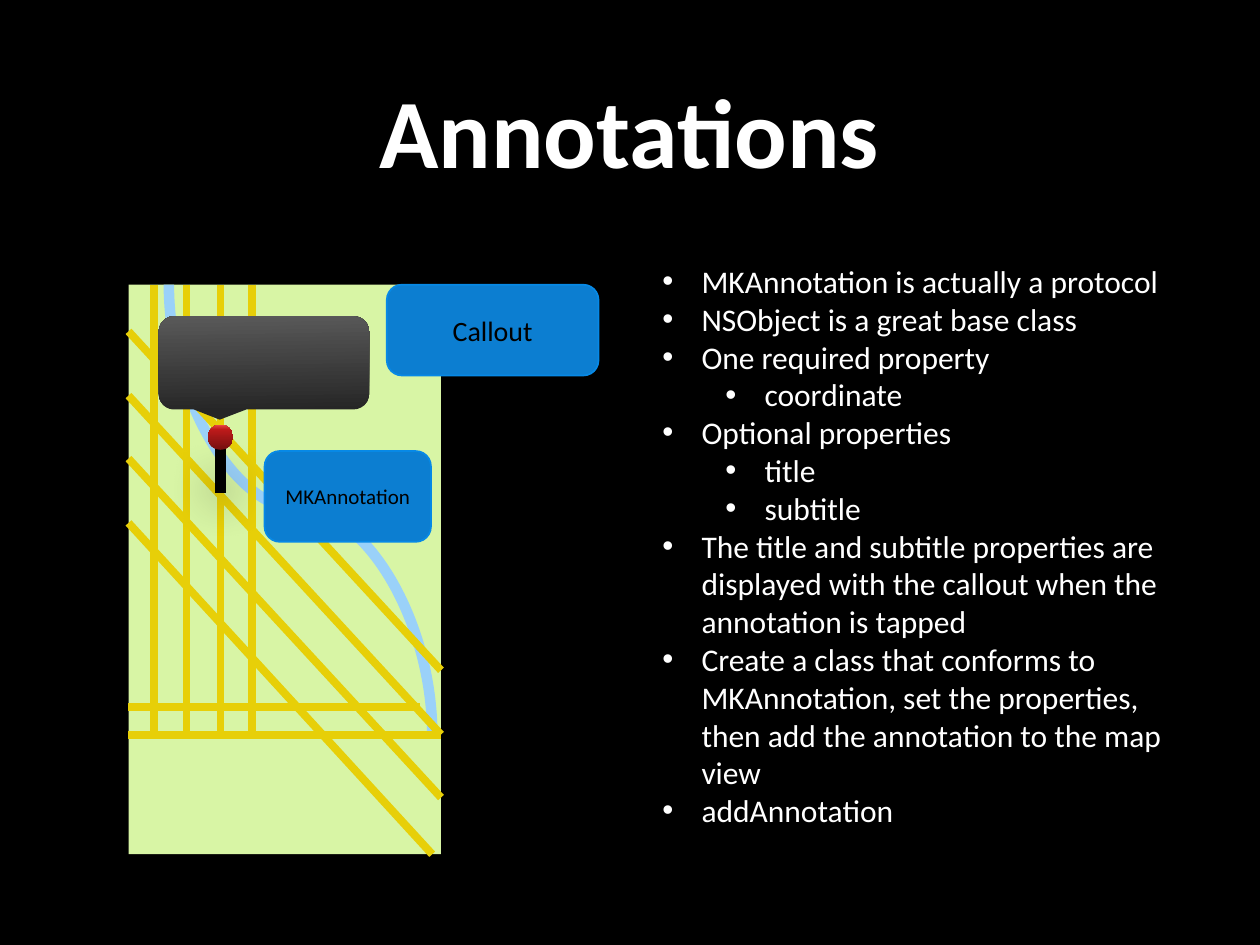
"""Build the Annotations slide with a sketched map and a bulleted summary."""
import pptx
import pptx.dml.color
import pptx.enum.shapes
import pptx.enum.text
import pptx.oxml
import pptx.oxml.ns
import pptx.util
from lxml import etree

Inches = pptx.util.Inches
Pt = pptx.util.Pt
SHAPES = pptx.enum.shapes.MSO_SHAPE
CONNECTORS = pptx.enum.shapes.MSO_CONNECTOR
ALIGN = pptx.enum.text.PP_ALIGN
ANCHOR = pptx.enum.text.MSO_ANCHOR
qn = pptx.oxml.ns.qn

COLORS = {
    "black": "000000", "white": "FFFFFF", "land": "D8F5A5", "river": "9AD1F9",
    "road": "E7CF08", "label": "0C7ED1", "label_edge": "0789E6",
}
PIN_GRADIENT = [(0, "751010"), (80, "BD1A1A"), (100, "E84545")]
BUBBLE_GRADIENT = [(0, "262626"), (100, "595959")]
BULLETS = [
    (0, "MKAnnotation is actually a protocol"),
    (0, "NSObject is a great base class"),
    (0, "One required property"),
    (1, "coordinate"),
    (0, "Optional properties"),
    (1, "title"),
    (1, "subtitle"),
    (0, "The title and subtitle properties are\vdisplayed with the callout when the\v"
        "annotation is tapped"),
    (0, "Create a class that conforms to\vMKAnnotation, set the properties,\v"
        "then add the annotation to the map\vview"),
    (0, "addAnnotation"),
]


def rgb(name):
    """Return the colour stored under a palette name."""
    return pptx.dml.color.RGBColor.from_string(COLORS[name])


class SlideBuilder:
    """Hold the text style and the current slide."""

    font = "Calibri"

    def __init__(self, slide):
        """Keep the slide and paint its background."""
        self.slide = slide
        slide.background.fill.solid()
        slide.background.fill.fore_color.rgb = rgb("black")

    def style(self, paragraph, size, color, bold=False):
        """Format every run of a paragraph."""
        for run in paragraph.runs:
            run.font.name = self.font
            run.font.size = Pt(size)
            run.font.bold = bold
            run.font.color.rgb = rgb(color)

    def title(self, text, box):
        """Fill and place the title placeholder."""
        heading = self.slide.shapes.title
        heading.left, heading.top, heading.width, heading.height = map(Inches, box)
        heading.text_frame.text = text
        heading.text_frame.vertical_anchor = ANCHOR.MIDDLE
        paragraph = heading.text_frame.paragraphs[0]
        paragraph.alignment = ALIGN.CENTER
        self.style(paragraph, 56, "white", bold=True)

    def shape(self, kind, box, fill=None):
        """Add a borderless preset shape with an optional solid fill."""
        shape = self.slide.shapes.add_shape(kind, *map(Inches, box))
        shape.shadow.inherit = False
        shape.line.fill.background()
        if fill:
            shape.fill.solid()
            shape.fill.fore_color.rgb = rgb(fill)
        return shape

    def gradient(self, shape, stops, angle):
        """Fill a shape with a linear gradient."""
        shape.fill.gradient()
        shape.fill.gradient_angle = angle
        stop_list = shape.element.spPr.find(qn("a:gradFill")).find(qn("a:gsLst"))
        for stop in list(stop_list):
            stop_list.remove(stop)
        for position, color in stops:
            stop = etree.SubElement(stop_list, qn("a:gs"), pos=str(position * 1000))
            etree.SubElement(stop, qn("a:srgbClr"), val=color)

    def drop_shadow(self, shape, opacity, blur, distance):
        """Cast a soft black shadow straight down."""
        effects = shape.element.spPr.find(qn("a:effectLst"))
        shadow = etree.SubElement(
            effects, qn("a:outerShdw"), blurRad=str(Pt(blur)),
            dist=str(Pt(distance)), dir="5400000", rotWithShape="0")
        color = etree.SubElement(shadow, qn("a:srgbClr"), val=COLORS["black"])
        etree.SubElement(color, qn("a:alpha"), val=str(opacity * 1000))

    def label(self, text, box, size):
        """Add a rounded label with centred text."""
        label = self.shape(SHAPES.ROUNDED_RECTANGLE, box, "label")
        label.line.color.rgb = rgb("label_edge")
        label.line.width = Pt(1)
        label.text_frame.text = text
        label.text_frame.vertical_anchor = ANCHOR.MIDDLE
        paragraph = label.text_frame.paragraphs[0]
        paragraph.alignment = ALIGN.CENTER
        self.style(paragraph, size, "black")

    def line(self, start, end, color, width, kind=CONNECTORS.STRAIGHT):
        """Add a connector between two points."""
        line = self.slide.shapes.add_connector(kind, *map(Inches, (*start, *end)))
        line.line.color.rgb = rgb(color)
        line.line.width = Pt(width)
        etree.SubElement(line.element.spPr, qn("a:effectLst"))
        return line

    def bullets(self, items, box):
        """Add a two-level bulleted list."""
        frame = self.slide.shapes.add_textbox(*map(Inches, box)).text_frame
        frame.word_wrap = True
        for index, (level, text) in enumerate(items):
            paragraph = frame.add_paragraph() if index else frame.paragraphs[0]
            paragraph.text = text
            paragraph.level = level
            properties = paragraph._p.get_or_add_pPr()
            properties.set("marL", str(Inches(0.31 + 0.5 * level)))
            properties.set("indent", str(Inches(-0.31)))
            bullet_color = etree.SubElement(properties, qn("a:buClr"))
            etree.SubElement(bullet_color, qn("a:srgbClr"), val=COLORS["white"])
            etree.SubElement(properties, qn("a:buFont"), typeface="Arial")
            etree.SubElement(properties, qn("a:buChar"), char="•")
            self.style(paragraph, 18, "white")


def draw_map(builder):
    """Draw the land, the river and the road grid."""
    left, top, right, bottom = 1.02, 2.26, 3.5, 5.83
    builder.shape(SHAPES.RECTANGLE, (left, top, right - left, 4.52), "land")
    river = builder.line((4.17, 3), (0.6, 5.09), "river", 6, CONNECTORS.CURVE)
    river.element.spPr.find(qn("a:xfrm")).set("rot", "16200000")
    diagonals = [((left, y), (right, y + 2.69)) for y in (2.63, 3.14, 3.64)]
    diagonals.append(((left, 4.15), (3.43, 6.78)))
    verticals = [((x, top), (x, bottom)) for x in (1.22, 1.48, 1.75, 2)]
    horizontals = [((left, 5.61), (3.33, 5.61)), ((left, bottom), (right, bottom))]
    for start, end in diagonals + verticals + horizontals:
        builder.line(start, end, "road", 4.5)


def draw_pin(builder):
    """Draw the map pin as one group."""
    stem = builder.line((1.75, 3.91), (1.75, 3.52), "black", 6)
    head = builder.shape(SHAPES.OVAL, (1.65, 3.37, 0.2, 0.2))
    builder.gradient(head, PIN_GRADIENT, 90)
    builder.drop_shadow(head, opacity=40, blur=25, distance=30)
    builder.slide.shapes.add_group_shape(shapes=[stem, head])


def main():
    """Build and save the presentation."""
    deck = pptx.Presentation()
    deck.slide_width, deck.slide_height = Inches(10), Inches(7.5)
    builder = SlideBuilder(deck.slides.add_slide(deck.slide_layouts[5]))
    builder.title("Annotations", (0.85, 0.12, 8.29, 1.81))
    draw_map(builder)
    draw_pin(builder)
    builder.label("MKAnnotation", (2.1, 3.58, 1.32, 0.72), 12)
    bubble = builder.shape(SHAPES.ROUNDED_RECTANGULAR_CALLOUT, (1.26, 2.51, 1.67, 0.74))
    bubble.adjustments[0], bubble.adjustments[1] = -0.21, 0.61
    builder.gradient(bubble, BUBBLE_GRADIENT, 91)
    builder.label("Callout", (3.07, 2.26, 1.68, 0.72), 16)
    builder.bullets(BULLETS, (5.16, 2.03, 4.33, 4.64))
    deck.save("out.pptx")


if __name__ == "__main__":
    main()
